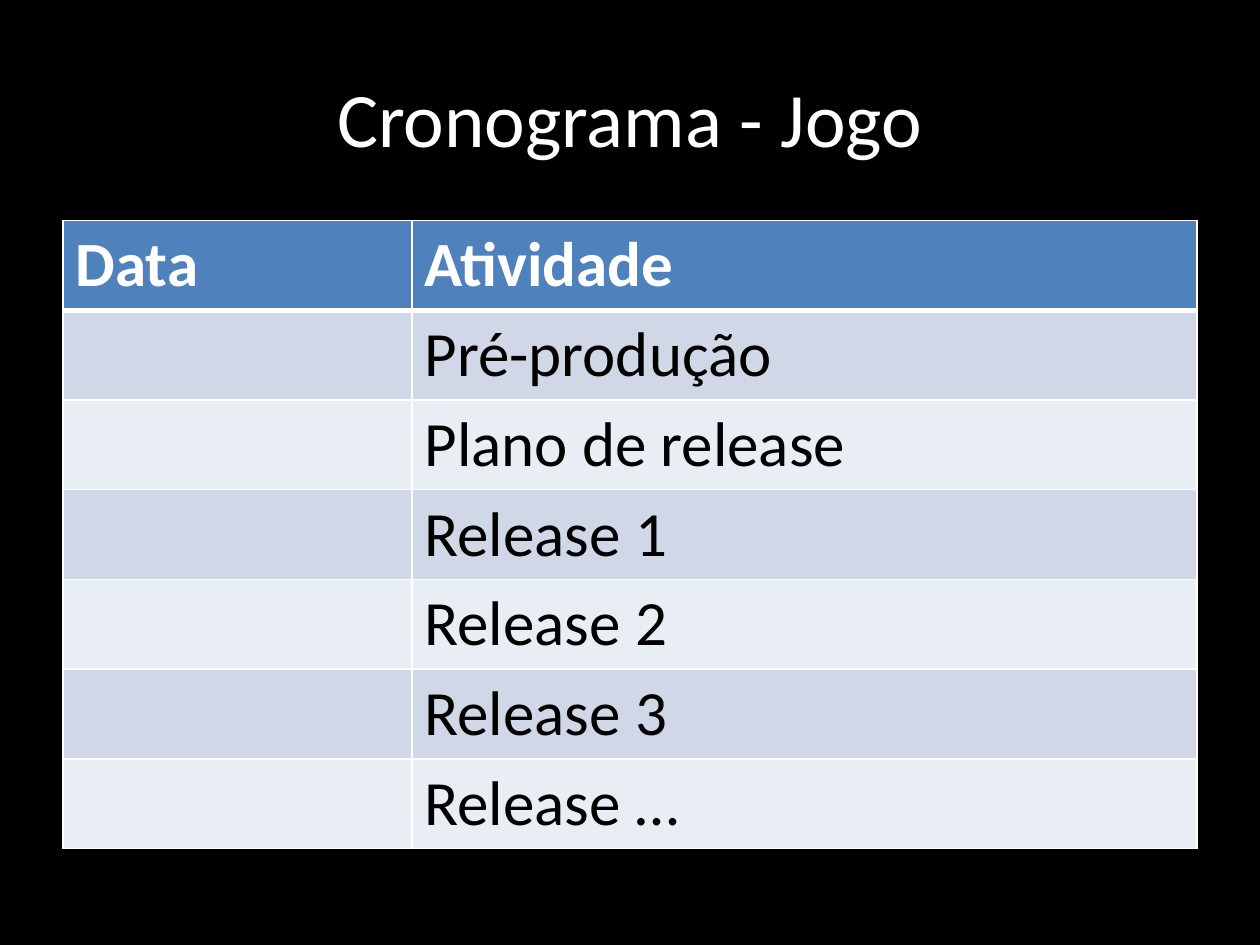
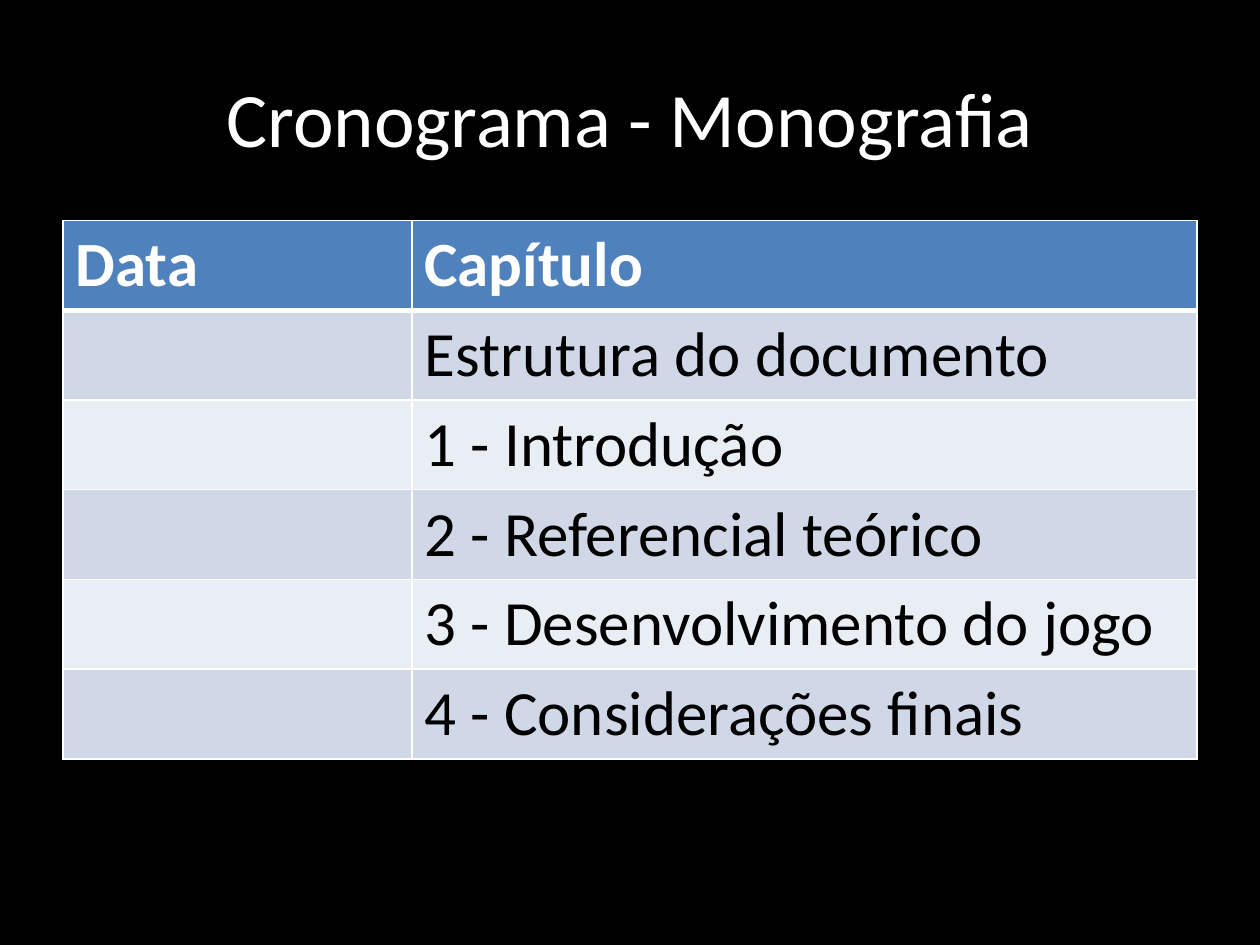
import pptx
import pptx.util
import pptx.dml.color
import pptx.enum.text
import lxml.etree
import pptx.oxml.ns

Inches, Pt = pptx.util.Inches, pptx.util.Pt
RGB = pptx.dml.color.RGBColor
TEXT = pptx.enum.text

# Shared look
BLACK = RGB(0x00, 0x00, 0x00)
WHITE = RGB(0xFF, 0xFF, 0xFF)
BLUE = RGB(0x4F, 0x81, 0xBD)
BANDS = (RGB(0xD0, 0xD8, 0xE8), RGB(0xE9, 0xED, 0xF4))
TITLE = {"name": "Calibri", "size": Pt(44), "bold": False}
HEAD = {"name": "Calibri", "size": Pt(36), "bold": True}
BODY = {**HEAD, "bold": False}

# Shared grid
WIDE, HIGH = Inches(10), Inches(7.5)
LEFT, SPAN = int(WIDE * 0.05), int(WIDE * 0.9)
COLS = (Inches(2.77), Inches(6.23))
ROW = Inches(0.71)

# Slide content: title, column heads, activities (dates are still open)
PLANS = (
    ("Cronograma - Jogo", ("Data", "Atividade"),
     ("Pré-produção", "Plano de release", "Release 1", "Release 2",
      "Release 3", "Release …")),
    ("Cronograma - Monografia", ("Data", "Capítulo"),
     ("Estrutura do documento", "1 - Introdução", "2 - Referencial teórico",
      "3 - Desenvolvimento do jogo", "4 - Considerações finais")),
)


def style(font, look, color):
    for key, value in look.items():
        setattr(font, key, value)
    font.color.rgb = color


def add_title(slide, text):
    box = slide.shapes.title
    place = {"left": LEFT, "top": int(HIGH * 0.04),
             "width": SPAN, "height": Inches(1.25)}
    for key, value in place.items():
        setattr(box, key, value)
    frame = box.text_frame
    frame.text = text
    frame.vertical_anchor = TEXT.MSO_ANCHOR.MIDDLE
    line = frame.paragraphs[0]
    line.alignment = TEXT.PP_ALIGN.CENTER
    style(line.runs[0].font, TITLE, WHITE)


def add_edges(cell, widths):
    """Draw white cell borders; widths maps a side to points."""
    props = cell._tc.get_or_add_tcPr()
    qn = pptx.oxml.ns.qn
    for side, width in widths.items():
        edge = lxml.etree.SubElement(props, qn("a:ln" + side), w=str(Pt(width)))
        fill = lxml.etree.SubElement(edge, qn("a:solidFill"))
        lxml.etree.SubElement(fill, qn("a:srgbClr"), val=str(WHITE))


def fill_cell(cell, text, row):
    # The thick rule lies between the head and the first body row
    add_edges(cell, {"L": 1, "R": 1, "T": 3 if row == 1 else 1,
                     "B": 3 if row == 0 else 1})
    cell.fill.solid()
    cell.fill.fore_color.rgb = BANDS[(row - 1) % 2] if row else BLUE
    if text:
        cell.text = text
        font = cell.text_frame.paragraphs[0].runs[0].font
        style(font, BODY if row else HEAD, BLACK if row else WHITE)


def add_plan(slide, heads, tasks):
    rows = [heads] + [("", task) for task in tasks]
    table = slide.shapes.add_table(len(rows), len(COLS), LEFT, Inches(1.75),
                                   SPAN, ROW * len(rows)).table
    for col, width in zip(table.columns, COLS):
        col.width = width
    for r, texts in enumerate(rows):
        table.rows[r].height = ROW
        for c, text in enumerate(texts):
            fill_cell(table.cell(r, c), text, r)


def main():
    deck = pptx.Presentation()
    deck.slide_width, deck.slide_height = WIDE, HIGH
    for title, heads, tasks in PLANS:
        slide = deck.slides.add_slide(deck.slide_layouts[5])
        slide.background.fill.solid()
        slide.background.fill.fore_color.rgb = BLACK
        add_title(slide, title)
        add_plan(slide, heads, tasks)
    deck.save("out.pptx")


main()
